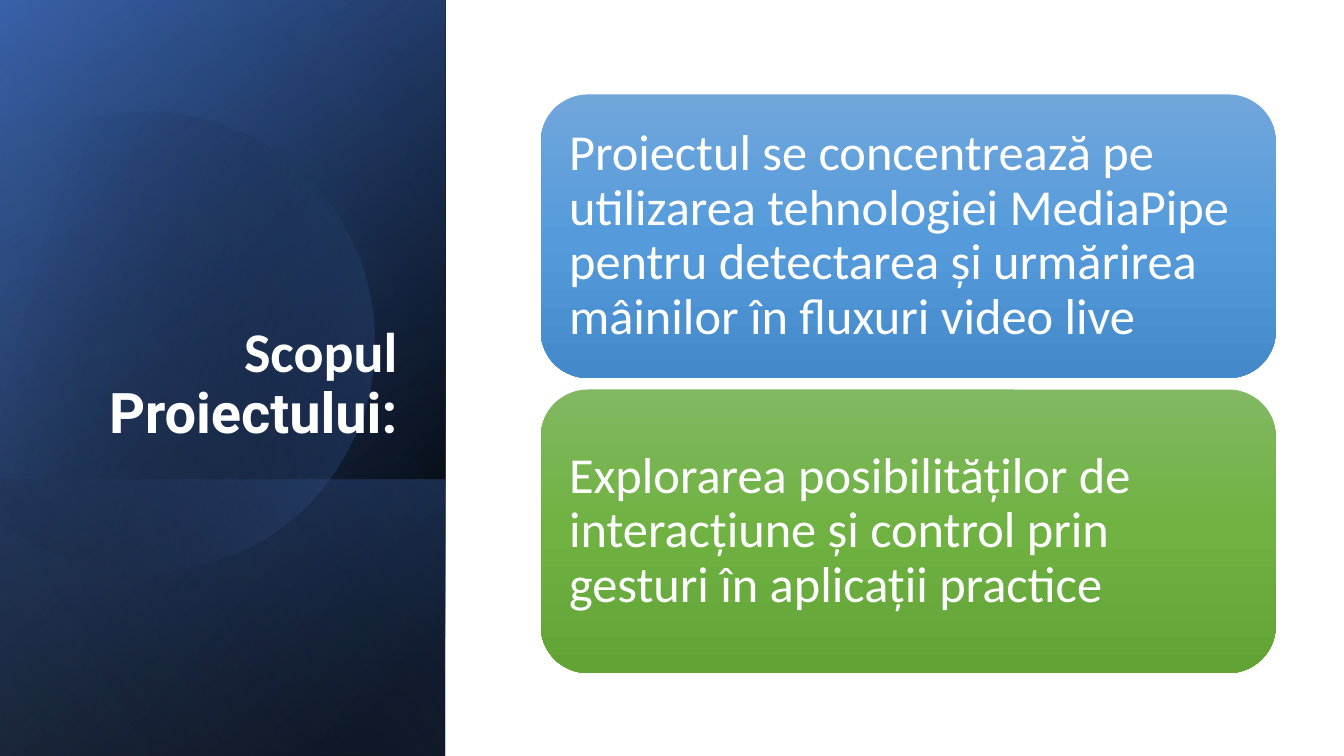
import math

import pptx
import pptx.dml.color
import pptx.enum.shapes
import pptx.enum.text
import pptx.oxml.ns
import pptx.util
from lxml import etree

SCALE = 9525  # EMU per px, 96 px to the inch
COLORS = {
    "white": "FFFFFF", "black": "000000",
    "navy": "2F5597", "blue": "4472C4", "pale": "8FAADC",
    "sky_top": "71A6DB", "sky_mid": "559BDB", "sky_low": "448ACA",
    "green_top": "81B861", "green_mid": "6FB242", "green_low": "62A336",
}
SHAPES = pptx.enum.shapes.MSO_SHAPE
ALIGN = pptx.enum.text.PP_ALIGN
ANCHOR = pptx.enum.text.MSO_ANCHOR


def px(length):
    return pptx.util.Emu(round(length * SCALE))


def bezier(start, first, second, end, steps=16):
    """Points along a cubic curve, without its start."""
    points = []
    for step in range(1, steps + 1):
        t = step / steps
        weights = ((1 - t) ** 3, 3 * t * (1 - t) ** 2, 3 * t * t * (1 - t), t ** 3)
        points.append(tuple(
            sum(w * p[axis] for w, p in zip(weights, (start, first, second, end)))
            for axis in (0, 1)))
    return points


def turn(point, center, degrees):
    """Turn a point clockwise about a center."""
    x, y = point[0] - center[0], point[1] - center[1]
    cos, sin = math.cos(math.radians(degrees)), math.sin(math.radians(degrees))
    return center[0] + x * cos - y * sin, center[1] + x * sin + y * cos


class Slide:
    def __init__(self, deck):
        self.page = deck.slides.add_slide(deck.slide_layouts[6])
        self.page.background.fill.solid()
        self.page.background.fill.fore_color.rgb = self.color("white")

    def color(self, name):
        return pptx.dml.color.RGBColor.from_string(COLORS[name])

    def paint(self, shape, stops, angle):
        """Gradient fill from (position %, colour, opacity %) stops."""
        shape.shadow.inherit = False
        shape.line.fill.background()
        shape.fill.gradient()
        qn = pptx.oxml.ns.qn
        gradient = shape._element.spPr.find(qn("a:gradFill"))
        for child in list(gradient):
            gradient.remove(child)
        gradient.set("rotWithShape", "1")
        stop_list = etree.SubElement(gradient, qn("a:gsLst"))
        for position, name, opacity in stops:
            stop = etree.SubElement(stop_list, qn("a:gs"), pos=str(position * 1000))
            color = etree.SubElement(stop, qn("a:srgbClr"), val=COLORS[name])
            if opacity < 100:
                etree.SubElement(color, qn("a:alpha"), val=str(opacity * 1000))
        etree.SubElement(gradient, qn("a:lin"), ang=str(angle * 60000), scaled="0")

    def panel(self, left, top, width, height, stops, angle):
        """Mirrored rectangle on its side; the frame is given as it shows."""
        shift = (width - height) / 2
        shape = self.page.shapes.add_shape(
            SHAPES.RECTANGLE, px(left + shift), px(top - shift), px(height), px(width))
        shape.rotation = 90
        shape._element.spPr.find(pptx.oxml.ns.qn("a:xfrm")).set("flipH", "1")
        self.paint(shape, stops, angle)

    def outline(self, points, center, rotation, stops, angle):
        level = [turn(point, center, -rotation) for point in points]
        builder = self.page.shapes.build_freeform(*level[0], scale=SCALE)
        builder.add_line_segments(level[1:], close=True)
        shape = builder.convert_to_shape()
        shape.rotation = rotation
        self.paint(shape, stops, angle)

    def card(self, left, top, width, height, stops):
        shape = self.page.shapes.add_shape(
            SHAPES.ROUNDED_RECTANGLE, px(left), px(top), px(width), px(height))
        self.paint(shape, stops, 90)

    def text(self, left, top, width, height, spans, size, anchor,
             align=ALIGN.LEFT, bold=False, inset=None):
        box = self.page.shapes.add_textbox(px(left), px(top), px(width), px(height))
        frame = box.text_frame
        frame.word_wrap = True
        frame.vertical_anchor = anchor
        if inset is not None:
            frame.margin_left = frame.margin_right = px(inset)
            frame.margin_top = frame.margin_bottom = px(inset)
        para = frame.paragraphs[0]
        para.alignment = align
        para.line_spacing = 0.9
        for words, font in spans:
            span = para.add_run()
            span.text = words
            span.font.name = font
            span.font.size = pptx.util.Pt(size)
            span.font.bold = bold
            span.font.color.rgb = self.color("white")


def main():
    deck = pptx.Presentation()
    deck.slide_width, deck.slide_height = px(1280), px(720)
    slide = Slide(deck)

    # Dark side panel
    side = (0, 0, 424, 720)
    slide.panel(*side, [(8, "black", 100), (100, "navy", 100)], 50)
    slide.panel(*side, [(0, "black", 0), (99, "blue", 46)], 30)
    slide.panel(0, 457, 424, 263, [(2, "blue", 29), (100, "black", 30)], 130)

    # Cut circle, then the last tint over the panel
    circle = [(143, 106)]
    for curve in (((236, 108), (322, 170), (348, 264)),
                  ((382, 381), (315, 502), (199, 536)),
                  ((126, 557), (51, 539), (-3, 493))):
        circle += bezier(circle[-1], *curve)
    circle += [(-14, 483), (-14, 168), (0, 155)]
    for curve in (((22, 136), (48, 123), (77, 114)),
                  ((99, 108), (121, 106), (143, 106))):
        circle += bezier(circle[-1], *curve)
    slide.outline(circle, (152, 321), 343.9,
                  [(29, "black", 0), (100, "blue", 43)], 30)
    slide.panel(*side, [(0, "black", 0), (99, "pale", 11)], 120)

    # Title
    slide.text(61, 177, 327, 252,
               [("Scopul ", "Calibri"), ("Proiectului:", "Roboto")],
               40, ANCHOR.BOTTOM, ALIGN.RIGHT, bold=True)

    # Goal cards
    goals = [
        ("sky", "Proiectul se concentrează pe utilizarea tehnologiei MediaPipe "
                "pentru detectarea și urmărirea mâinilor în fluxuri video live"),
        ("green", "Explorarea posibilităților de interacțiune și control prin "
                  "gesturi în aplicații practice"),
    ]
    left, width, height, pad = 515, 700, 270, 13
    for index, (hue, words) in enumerate(goals):
        top = 90 + index * (height + 11)
        slide.card(left, top, width, height,
                   [(0, hue + "_top", 100), (50, hue + "_mid", 100),
                    (100, hue + "_low", 100)])
        slide.text(left + pad, top + pad, width - 2 * pad, height - 2 * pad,
                   [(words, "Calibri")], 36, ANCHOR.MIDDLE, inset=14)

    deck.save("out.pptx")


if __name__ == "__main__":
    main()
